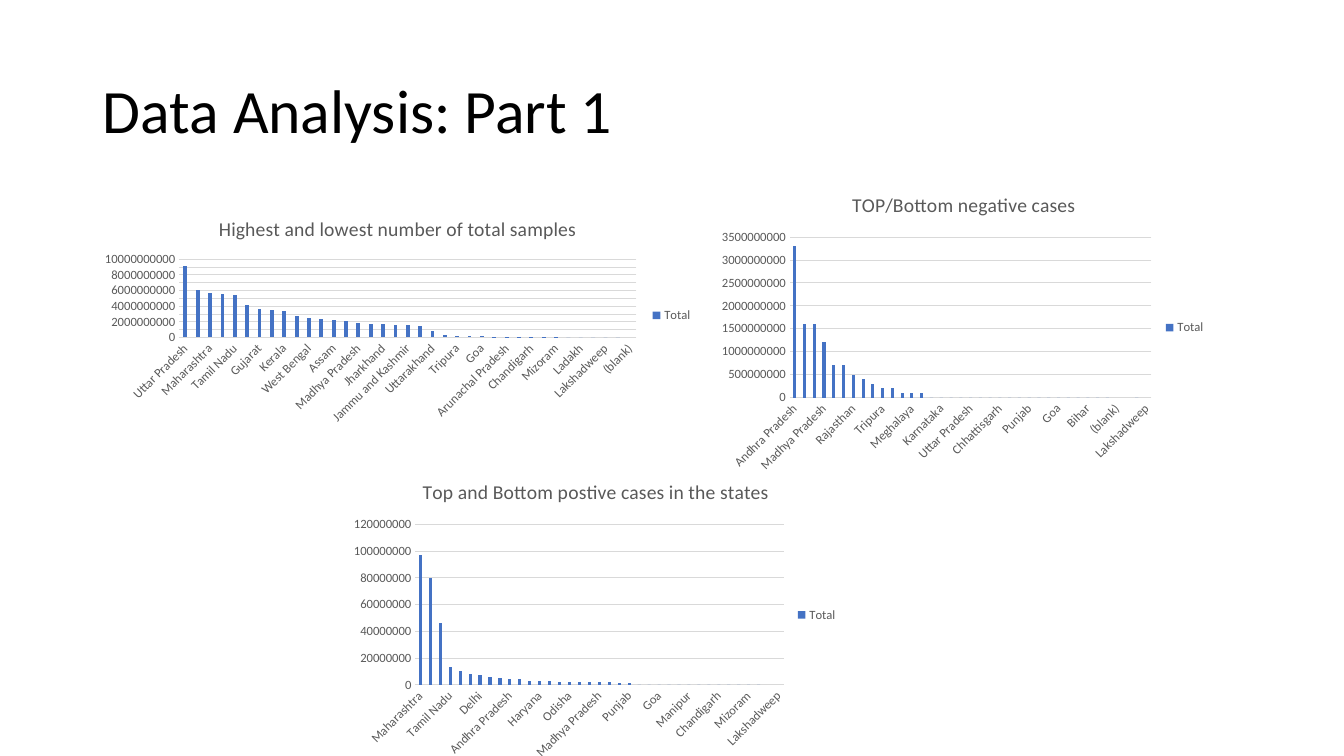
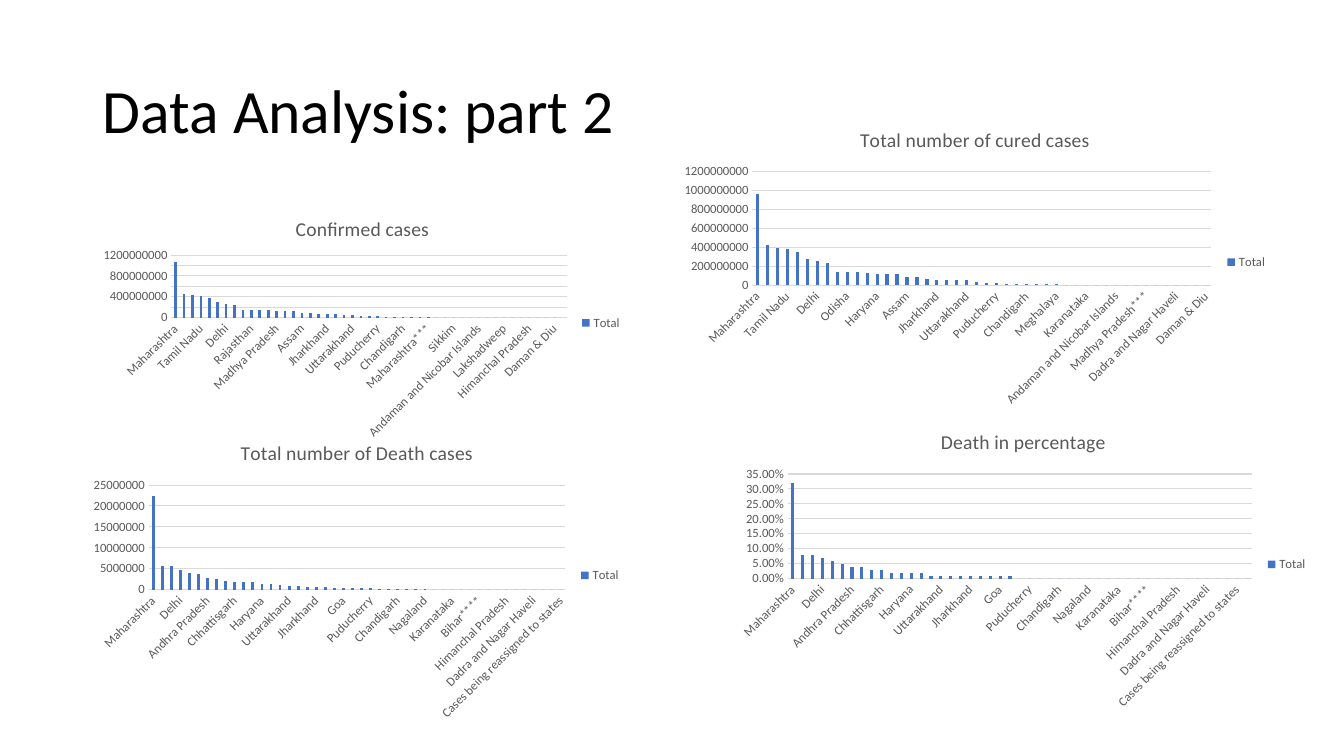
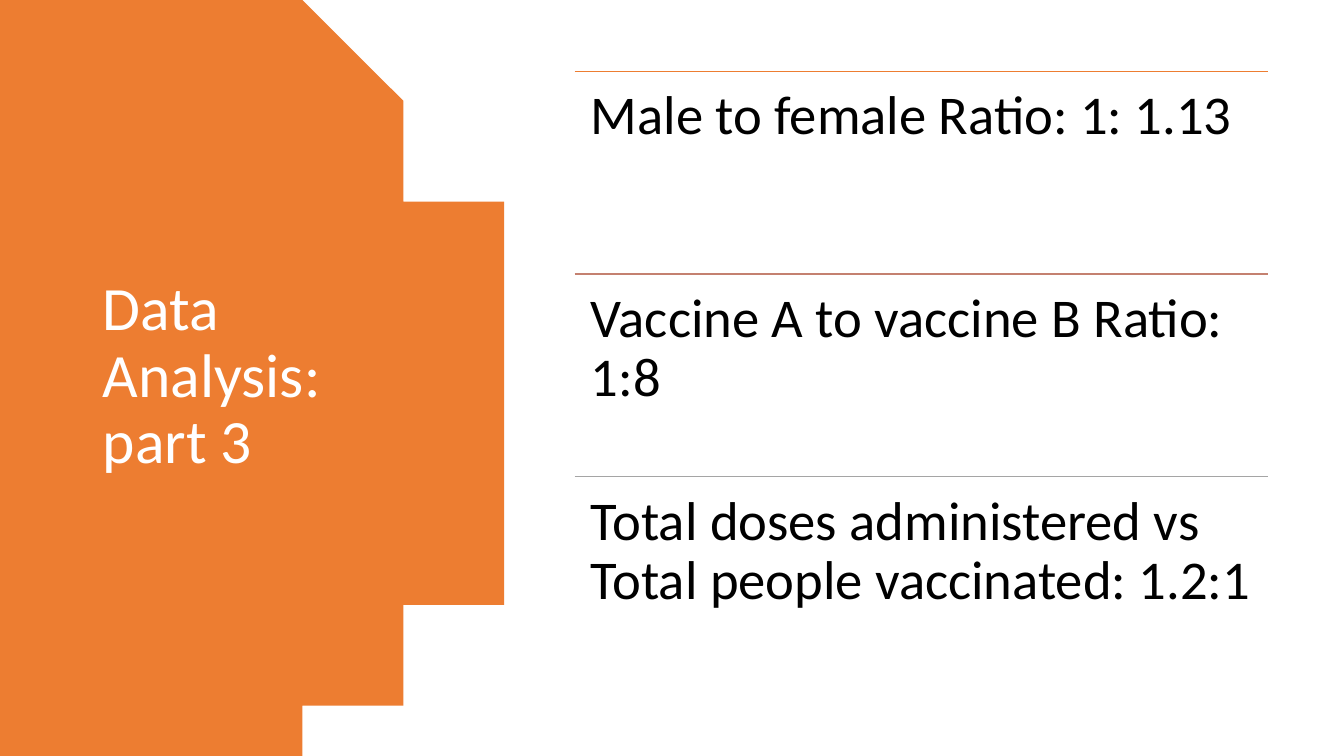
from math import asin, cos, sin

from pptx import Presentation
from pptx.chart.data import CategoryChartData
from pptx.dml.color import RGBColor
from pptx.enum.chart import XL_CHART_TYPE as ChartType, XL_LEGEND_POSITION as LegendPos
from pptx.enum.chart import XL_TICK_MARK as TickMark
from pptx.enum.shapes import MSO_CONNECTOR as Connector
from pptx.enum.text import MSO_ANCHOR as Anchor, MSO_AUTO_SIZE as AutoSize, PP_ALIGN as Align
from pptx.oxml.ns import qn
from pptx.util import Inches, Pt
from lxml import etree

# Shared style
FONT = "Calibri"
BLACK = RGBColor(0x00, 0x00, 0x00)
WHITE = RGBColor(0xFF, 0xFF, 0xFF)
GREY = RGBColor(0x59, 0x59, 0x59)
GRID = RGBColor(0xD9, 0xD9, 0xD9)
BLUE = RGBColor(0x44, 0x72, 0xC4)
ORANGE = RGBColor(0xED, 0x7D, 0x31)
ROSE = RGBColor(0xC4, 0x81, 0x70)
SILVER = RGBColor(0xA5, 0xA5, 0xA5)
TITLE_BOX = (0.92, 0.4, 11.5, 1.45)

MILLION = 10**6
TEN_MILLION = 10**7
HUNDRED_MILLION = 10**8


def names(text):
    return [name.strip() for name in text.split(",")]


# Chart categories, ranked by value
SAMPLE_STATES = names("""Uttar Pradesh, Bihar, Maharashtra, Karnataka, Tamil Nadu, Andhra Pradesh,
    Gujarat, Delhi, Kerala, Telangana, West Bengal, Odisha, Assam, Rajasthan, Madhya Pradesh,
    Haryana, Jharkhand, Punjab, Jammu and Kashmir, Chhattisgarh, Uttarakhand, Himachal Pradesh,
    Tripura, Puducherry, Goa, Manipur, Arunachal Pradesh, Meghalaya, Chandigarh,
    Andaman and Nicobar Islands, Mizoram, Nagaland, Ladakh, Sikkim, Lakshadweep,
    Dadra and Nagar Haveli and Daman and Diu, (blank)""")
NEGATIVE_STATES = names("""Andhra Pradesh, Jharkhand, Jammu and Kashmir, Madhya Pradesh,
    Uttarakhand, Haryana, Rajasthan, Maharashtra, Himachal Pradesh, Tripura, Puducherry,
    Arunachal Pradesh, Meghalaya, Chandigarh, Gujarat, Karnataka, Tamil Nadu, Ladakh,
    Uttar Pradesh, Dadra and Nagar Haveli and Daman and Diu, Kerala, Chhattisgarh, Telangana,
    Assam, Punjab, Delhi, Sikkim, Goa, Nagaland, Odisha, Bihar, Andaman and Nicobar Islands,
    West Bengal, (blank), Manipur, Mizoram, Lakshadweep""")
POSITIVE_STATES = names("""Maharashtra, Kerala, Jharkhand, Tamil Nadu, Tripura, Gujarat, Delhi,
    Puducherry, Karnataka, Andhra Pradesh, Telangana, West Bengal, Haryana, Uttar Pradesh,
    Rajasthan, Odisha, Assam, Bihar, Madhya Pradesh, Andaman and Nicobar Islands,
    Jammu and Kashmir, Punjab, Chhattisgarh, Uttarakhand, Goa,
    Dadra and Nagar Haveli and Daman and Diu, Himachal Pradesh, Manipur, Nagaland, Ladakh,
    Chandigarh, Arunachal Pradesh, Meghalaya, Mizoram, Sikkim, (blank), Lakshadweep""")
CONFIRMED_STATES = names("""Maharashtra, Karnataka, Kerala, Tamil Nadu, Andhra Pradesh,
    Uttar Pradesh, Delhi, West Bengal, Chhattisgarh, Rajasthan, Odisha, Gujarat, Madhya Pradesh,
    Haryana, Bihar, Assam, Punjab, Telengana, Jharkhand, Jammu and Kashmir, Telangana,
    Uttarakhand, Himachal Pradesh, Goa, Puducherry, Tripura, Manipur, Chandigarh, Meghalaya,
    Arunachal Pradesh, Maharashtra***, Nagaland, Ladakh, Sikkim, Karanataka, Mizoram,
    Andaman and Nicobar Islands, Dadra and Nagar Haveli and Daman and Diu, Bihar****,
    Lakshadweep, Madhya Pradesh***, Cases being reassigned to states, Himanchal Pradesh,
    Dadra and Nagar Haveli, Unassigned, Daman & Diu, (blank)""")
CURED_STATES = names("""Maharashtra, Karnataka, Kerala, Tamil Nadu, Andhra Pradesh,
    Uttar Pradesh, Delhi, West Bengal, Chhattisgarh, Odisha, Rajasthan, Gujarat, Haryana,
    Madhya Pradesh, Bihar, Assam, Punjab, Telengana, Jharkhand, Telangana, Jammu and Kashmir,
    Uttarakhand, Himachal Pradesh, Goa, Puducherry, Tripura, Manipur, Chandigarh,
    Arunachal Pradesh, Maharashtra***, Meghalaya, Nagaland, Ladakh, Karanataka, Sikkim, Mizoram,
    Andaman and Nicobar Islands, Dadra and Nagar Haveli and Daman and Diu, Bihar****,
    Madhya Pradesh***, Lakshadweep, Himanchal Pradesh, Dadra and Nagar Haveli,
    Cases being reassigned to states, Unassigned, Daman & Diu""")
DEATH_STATES = names("""Maharashtra, Karnataka, Tamil Nadu, Delhi, Uttar Pradesh, West Bengal,
    Andhra Pradesh, Punjab, Gujarat, Chhattisgarh, Kerala, Madhya Pradesh, Haryana, Rajasthan,
    Bihar, Uttarakhand, Jammu and Kashmir, Odisha, Jharkhand, Assam, Himachal Pradesh, Goa,
    Telengana, Telangana, Puducherry, Manipur, Tripura, Chandigarh, Maharashtra***, Meghalaya,
    Nagaland, Sikkim, Ladakh, Karanataka, Andaman and Nicobar Islands, Arunachal Pradesh,
    Bihar****, Madhya Pradesh***, Mizoram, Himanchal Pradesh, Lakshadweep,
    Dadra and Nagar Haveli and Daman and Diu, Dadra and Nagar Haveli""")
DEATH_COUNT_STATES = DEATH_STATES + names(
    "Daman & Diu, Unassigned, Cases being reassigned to states")
DEATH_SHARE_STATES = DEATH_STATES + names(
    "(blank), Daman & Diu, Cases being reassigned to states, Unassigned")


# Text
def style_font(font, size, color):
    font.name, font.size, font.bold = FONT, Pt(size), False
    font.color.rgb = color


def put_text(tf, text, size=44, color=BLACK, align=Align.LEFT, spacing=0.9):
    p = tf.paragraphs[0]
    p.alignment, p.line_spacing = align, spacing
    r = p.add_run()
    r.text = text
    style_font(r.font, size, color)


def add_titled_slide(prs, text, box=TITLE_BOX, color=BLACK):
    s = prs.slides.add_slide(prs.slide_layouts[5])
    title = s.shapes.title
    title.left, title.top, title.width, title.height = map(Inches, box)
    tf = title.text_frame
    tf.word_wrap, tf.auto_size = True, AutoSize.NONE
    tf.vertical_anchor = Anchor.MIDDLE
    put_text(tf, text, color=color)
    return s


# Charts
def add_column_chart(s, title, box, states, leading, scale, empty=("(blank)",), fmt="General"):
    """Draw ranked columns; states after the leading values are zero or empty."""
    values = leading + [0] * (len(states) - len(leading))
    data = CategoryChartData(number_format=fmt)
    data.categories = states
    data.add_series("Total", [None if state in empty else round(v * scale, 2)
                              for state, v in zip(states, values)])
    frame = s.shapes.add_chart(ChartType.COLUMN_CLUSTERED, *map(Inches, box), data)
    chart = frame.chart
    style_font(chart.font, 10, BLACK)

    chart.has_title = True
    chart.chart_title.include_in_layout = False
    put_text(chart.chart_title.text_frame, title, size=14, color=GREY,
             align=Align.CENTER, spacing=None)

    chart.has_legend = True
    chart.legend.position = LegendPos.RIGHT
    chart.legend.include_in_layout = False
    style_font(chart.legend.font, 9, GREY)

    plot = chart.plots[0]
    plot.gap_width, plot.overlap, plot.vary_by_categories = 219, -27, False
    fill = plot.series[0].format.fill
    fill.solid()
    fill.fore_color.rgb = BLUE

    for axis in (chart.category_axis, chart.value_axis):
        axis.major_tick_mark = axis.minor_tick_mark = TickMark.NONE
        style_font(axis.tick_labels.font, 9, GREY)
    # This rotation value lets the renderer slant crowded labels
    body = chart.category_axis.tick_labels.font  # ensures the text properties exist
    body = chart.category_axis._element.find(qn("c:txPr")).find(qn("a:bodyPr"))
    body.set("rot", "-60000000")
    body.set("vert", "horz")

    value_axis = chart.value_axis
    value_axis.tick_labels.number_format = fmt
    value_axis.tick_labels.number_format_is_linked = False
    value_axis.has_major_gridlines = True
    value_axis.format.line.fill.background()
    for line in (chart.category_axis.format.line, value_axis.major_gridlines.format.line):
        line.color.rgb = GRID
        line.width = Pt(0.75)


# Shapes of the ratio slide
def add_round_panel(s, edge=2.82, right=4.93, height=7.5):
    """Fill the left of the slide up to an arc bulging to the right."""
    half, bulge = height / 2, right - edge
    radius = (bulge**2 + half**2) / (2 * bulge)
    sweep, steps = asin(half / radius), 80
    angles = [sweep * (2 * i / steps - 1) for i in range(steps + 1)]
    arc = [(right - radius + radius * cos(a), half + radius * sin(a)) for a in angles]
    builder = s.shapes.build_freeform(0, 0, scale=Inches(1))
    builder.add_line_segments(arc + [(0, height)], close=True)
    sp = builder.convert_to_shape()
    sp.shadow.inherit = False
    sp.fill.solid()
    sp.fill.fore_color.rgb = ORANGE
    sp.line.fill.background()


def add_ruled_text(shapes, text, top, color, left=5.7, width=6.88, height=2.01):
    x, y, w, h = map(Inches, (left, top, width, height))
    rule = shapes.add_connector(Connector.STRAIGHT, x, y, x + w, y)
    rule.line.color.rgb = color
    rule.line.width = Pt(1)
    etree.SubElement(rule._element.spPr, qn("a:effectLst"))
    tf = shapes.add_textbox(x, y, w, h).text_frame
    tf.word_wrap = True
    tf.margin_left = tf.margin_right = tf.margin_top = tf.margin_bottom = Inches(0.16)
    put_text(tf, text, size=39)


# Slides
def build_samples_slide(prs):
    s = add_titled_slide(prs, "Data Analysis: Part 1")
    add_column_chart(
        s, "Highest and lowest number of total samples", (0.92, 2, 6.05, 2.26), SAMPLE_STATES,
        [92, 61, 57, 55, 54, 41, 37, 35, 34, 27, 25, 24, 22, 21, 18, 17, 17, 16, 16, 15, 8, 3,
         2, 2, 2] + [1] * 6, HUNDRED_MILLION)
    add_column_chart(
        s, "TOP/Bottom negative cases", (7.06, 1.75, 5, 3), NEGATIVE_STATES,
        [33, 16, 16, 12, 7, 7, 5, 4, 3, 2, 2, 1, 1, 1], HUNDRED_MILLION,
        empty=("(blank)", "Manipur", "Lakshadweep"))
    add_column_chart(
        s, "Top and Bottom postive cases in the states", (3.41, 4.6, 5, 3), POSITIVE_STATES,
        [97, 80, 46, 13, 10, 8, 7, 6, 5, 4, 4, 3, 3, 3, 2, 2, 2, 2, 2, 2, 1, 1], MILLION,
        empty=("(blank)", "Lakshadweep"))


def build_cases_slide(prs):
    s = add_titled_slide(prs, "Data Analysis: part 2")
    add_column_chart(
        s, "Confirmed cases", (0.92, 2, 5.35, 2.41), CONFIRMED_STATES,
        [106, 46, 43, 41, 37, 30, 27, 25, 15, 15, 15, 14, 13, 13, 13, 9, 9, 7, 6, 6, 5, 5, 3, 3,
         2] + [1] * 6, TEN_MILLION)
    add_column_chart(
        s, "Death in percentage", (7.23, 4.1, 5.84, 3), DEATH_SHARE_STATES,
        [32, 8, 8, 7, 6, 5, 4, 4, 3, 3, 2, 2, 2, 2] + [1] * 9, 0.01, empty=(), fmt="0.00%")
    add_column_chart(
        s, "Total number of cured cases", (6.67, 1.1, 6, 3), CURED_STATES,
        [96, 42, 39, 38, 35, 28, 26, 23, 14, 14, 14, 13, 12, 12, 12, 9, 9, 6, 5, 5, 5, 5, 3, 2,
         2] + [1] * 6, TEN_MILLION)
    add_column_chart(
        s, "Total number of Death cases", (0.82, 4.21, 5.44, 3), DEATH_COUNT_STATES,
        [225, 57, 56, 47, 39, 37, 28, 26, 21, 19, 17, 17, 14, 14, 10, 9, 8, 7, 7, 6, 5, 4, 4, 3,
         3, 2] + [1] * 5, MILLION // 10)


def build_ratios_slide(prs):
    s = add_titled_slide(prs, "Data Analysis: part 3", box=(0.92, 0.7, 3.23, 6.09), color=WHITE)
    add_round_panel(s)
    s.shapes.element.append(s.shapes.title.element)  # title in front of the panel
    ratios = [
        ("Male to female Ratio: 1: 1.13", ORANGE),
        ("Vaccine A to vaccine B Ratio: 1:8", ROSE),
        ("Total doses administered vs Total people vaccinated: 1.2:1", SILVER),
    ]
    group = s.shapes.add_group_shape()
    for i, (text, color) in enumerate(ratios):
        add_ruled_text(group.shapes, text, 0.71 + 2.01 * i, color)


def main():
    prs = Presentation()
    prs.slide_width, prs.slide_height = Inches(13.33), Inches(7.5)
    build_samples_slide(prs)
    build_cases_slide(prs)
    build_ratios_slide(prs)
    prs.save("out.pptx")


if __name__ == "__main__":
    main()
